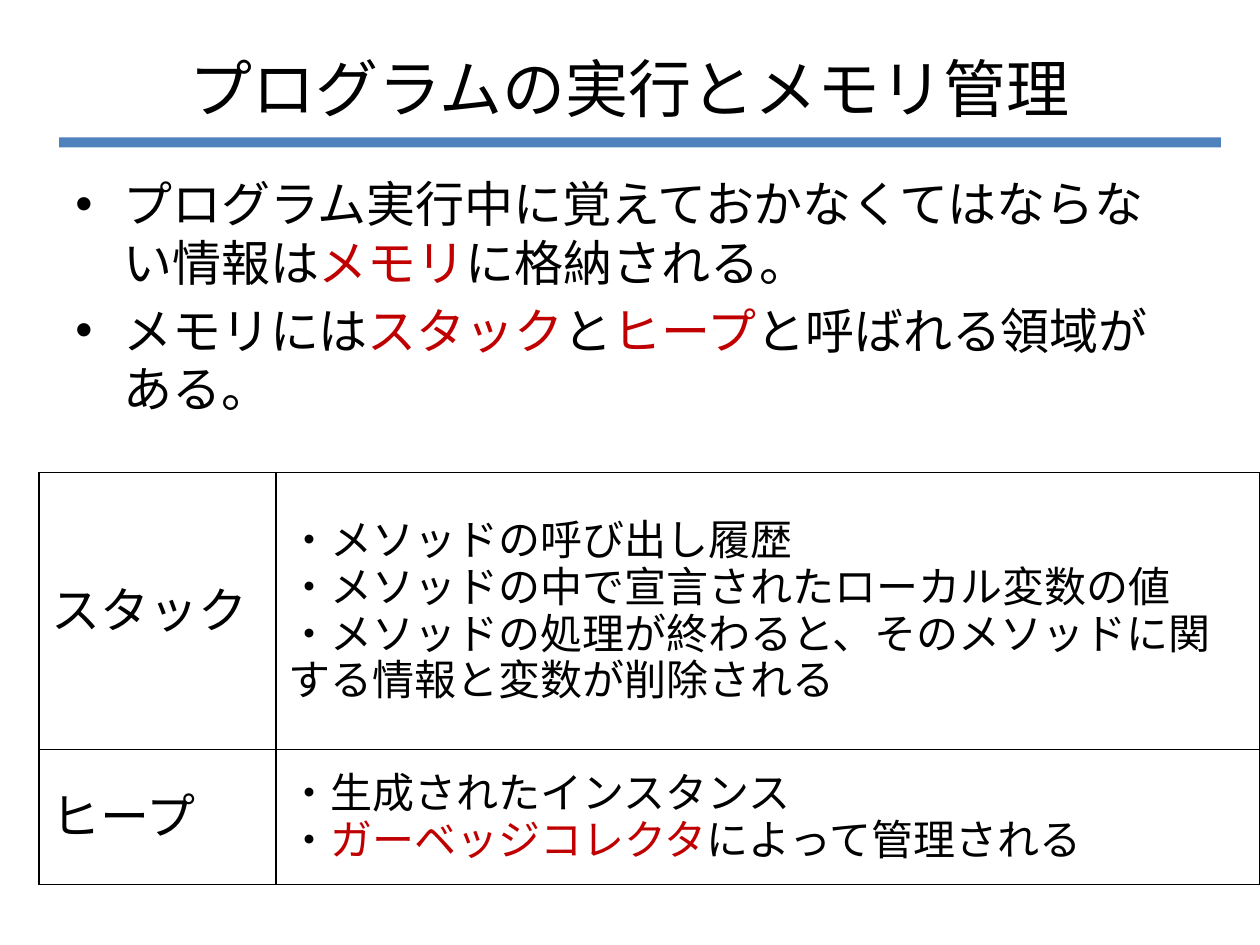
from lxml.etree import SubElement
from pptx import Presentation
from pptx.dml.color import RGBColor
from pptx.enum.shapes import MSO_SHAPE
from pptx.enum.text import MSO_ANCHOR, PP_ALIGN
from pptx.oxml.ns import qn
from pptx.util import Inches, Pt

COLORS = {"text": "000000", "key": "C00000", "bar": "4F81BD", "page": "FFFFFF"}
LATIN, CJK = "Arial", "Noto Sans CJK JP"

TITLE = "プログラムの実行とメモリ管理"
POINTS = [
    ["プログラム実行中に覚えておかなくてはならない情報は", ("メモリ", "key"), "に格納される。"],
    ["メモリには", ("スタック", "key"), "と", ("ヒープ", "key"), "と呼ばれる領域がある。"],
]
AREAS = [
    ("スタック", [
        ["・メソッドの呼び出し履歴"],
        ["・メソッドの中で宣言されたローカル変数の値"],
        ["・メソッドの処理が終わると、そのメソッドに関する情報と変数が削除される"],
    ]),
    ("ヒープ", [
        ["・生成されたインスタンス"],
        ["・", ("ガーベッジコレクタ", "key"), "によって管理される"],
    ]),
]
COLS, ROWS = (1.88, 7.81), (2.2, 1.07)
MARGIN, INDENT = 0.5, 0.38


def rgb(name):
    return RGBColor.from_string(COLORS[name])


def write(tf, paragraphs, size, font=LATIN, align=PP_ALIGN.LEFT, bullet=None, gap=0):
    tf.word_wrap = True
    for i, parts in enumerate(paragraphs):
        p = tf.paragraphs[0] if i == 0 else tf.add_paragraph()
        p.alignment = align
        p.space_before = Pt(gap if i else 0)
        if bullet:
            pPr = p._p.get_or_add_pPr()
            pPr.set("marL", str(Inches(INDENT)))
            pPr.set("indent", str(-Inches(INDENT)))
            SubElement(pPr, qn("a:buFont"), typeface=LATIN)
            SubElement(pPr, qn("a:buChar"), char=bullet)
        for part in parts:
            text, color = part if isinstance(part, tuple) else (part, "text")
            r = p.add_run()
            r.text = text
            r.font.size = Pt(size)
            r.font.color.rgb = rgb(color)
            r.font.name = font
            SubElement(r._r.get_or_add_rPr(), qn("a:ea"), typeface=font)


def style_cell(cell):
    cell.vertical_anchor = MSO_ANCHOR.MIDDLE
    tcPr = cell._tc.get_or_add_tcPr()
    for side in ("lnL", "lnR", "lnT", "lnB"):
        ln = SubElement(tcPr, qn(f"a:{side}"), w=str(Pt(1)))
        fill = SubElement(ln, qn("a:solidFill"))
        SubElement(fill, qn("a:srgbClr"), val=COLORS["text"])
    cell.fill.solid()
    cell.fill.fore_color.rgb = rgb("page")


def main():
    prs = Presentation()
    prs.slide_width, prs.slide_height = Inches(10), Inches(7.5)
    s = prs.slides.add_slide(prs.slide_layouts[5])
    width = prs.slide_width - 2 * Inches(MARGIN)

    title = s.shapes.title
    title.left, title.top = Inches(MARGIN), Inches(0.3)
    title.width, title.height = width, Inches(0.79)
    title.text_frame.vertical_anchor = MSO_ANCHOR.MIDDLE
    write(title.text_frame, [[TITLE]], 36, align=PP_ALIGN.CENTER)

    bar = s.shapes.add_shape(MSO_SHAPE.RECTANGLE, Inches(0.47), Inches(1.09),
                             Inches(9.22), Inches(0.08))
    bar.shadow.inherit = False
    bar.fill.solid()
    bar.fill.fore_color.rgb = rgb("bar")
    bar.line.fill.background()

    body = s.shapes.add_textbox(Inches(MARGIN), Inches(1.33), width, Inches(2.5))
    write(body.text_frame, POINTS, 28, font=CJK, bullet="•", gap=5)

    table = s.shapes.add_table(len(ROWS), len(COLS), Inches(0.31), Inches(3.75),
                               Inches(sum(COLS)), Inches(sum(ROWS))).table
    for column, w in zip(table.columns, COLS):
        column.width = Inches(w)
    for row, h, (name, notes) in zip(table.rows, ROWS, AREAS):
        row.height = Inches(h)
        for cell, paragraphs, size in zip(row.cells, ([[name]], notes), (28, 24)):
            write(cell.text_frame, paragraphs, size)
            style_cell(cell)

    prs.save("out.pptx")


if __name__ == "__main__":
    main()
